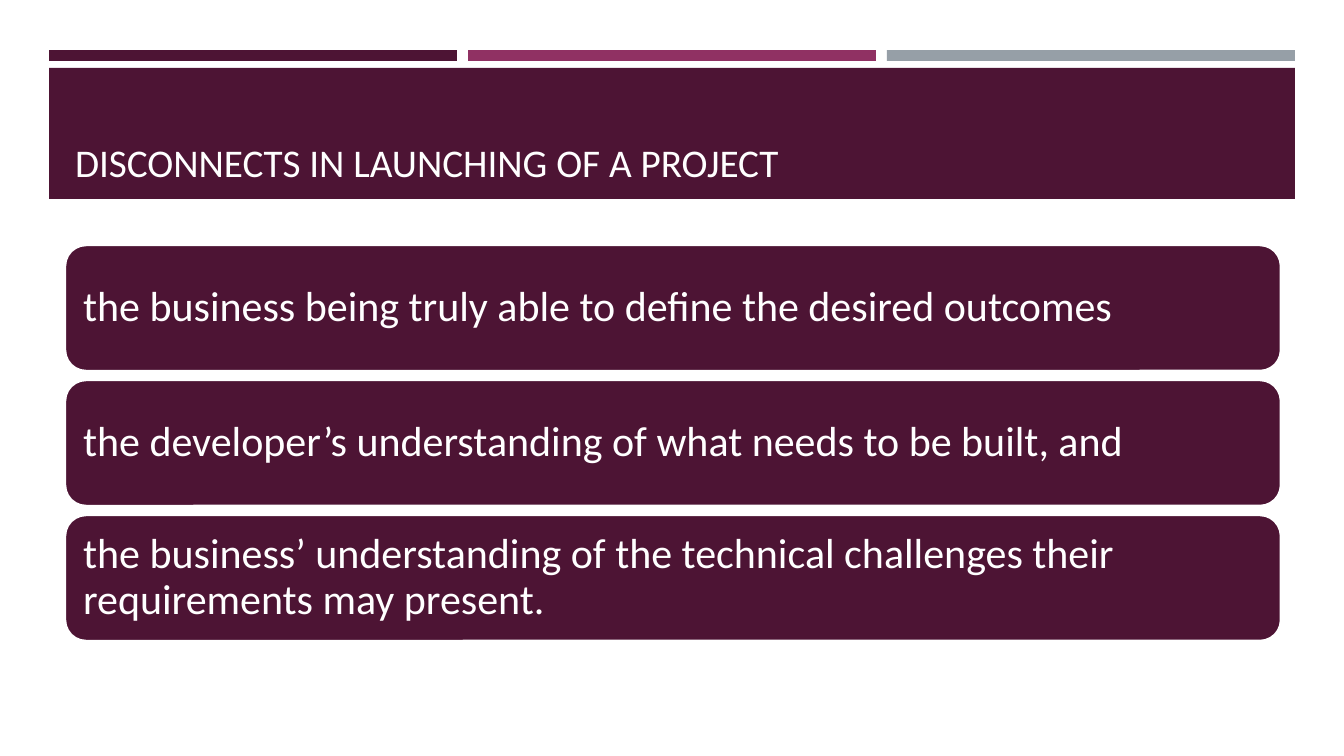
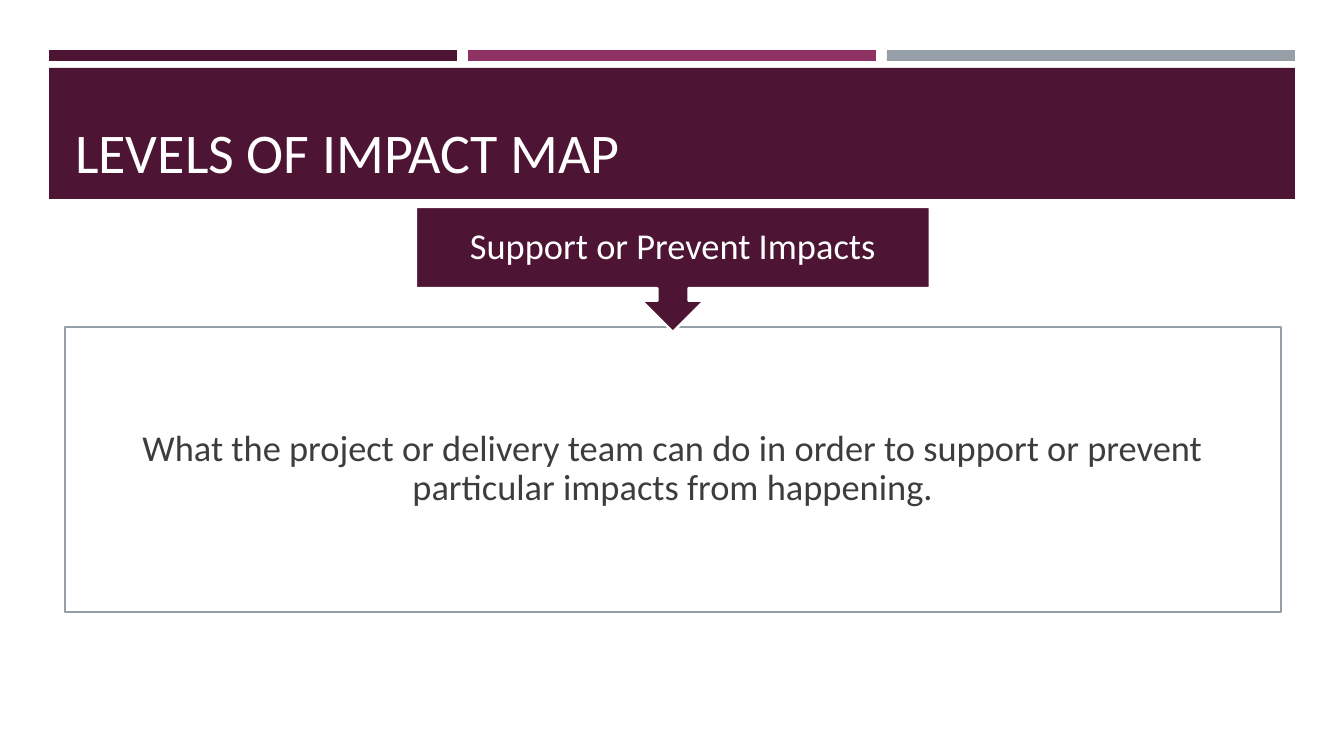
from pptx import Presentation
from pptx.dml.color import RGBColor
from pptx.enum.shapes import MSO_SHAPE as Shape
from pptx.enum.text import MSO_ANCHOR as Anchor, PP_ALIGN as Align
from pptx.util import Emu, Pt

PLUM = RGBColor(0x4D, 0x14, 0x34)
MAGENTA = RGBColor(0x90, 0x31, 0x63)
GREY = RGBColor(0x96, 0x9F, 0xA7)
INK = RGBColor(0x3D, 0x3D, 0x3D)
WHITE = RGBColor(0xFF, 0xFF, 0xFF)

FONT = "Calibri"
EMU_PER_PX = 914400 / 100.8
PAGE_SIZE = (1344, 756)
TITLE_ONLY = 5

# Boxes are left, top, width, height in px
STRIPES_BOX = (49, 50, 1246, 11)
BANNER_BOX = (49, 68, 1246, 131)
TITLE_BOX = (65, 78, 1216, 112)
CARDS_BOX = (65, 245, 1216, 396)
DIAGRAM_BOX = (65, 207, 1216, 405)


def px(length):
    return Emu(round(length * EMU_PER_PX))


def set_all(target, values):
    for name, value in values.items():
        setattr(target, name, value)


def place(shape, box):
    sides = ("left", "top", "width", "height")
    set_all(shape, dict(zip(sides, map(px, box))))


def add_box(page, kind, box, fill=None, line=None):
    shape = page.shapes.add_shape(kind, *map(px, box))
    shape.shadow.inherit = False
    if fill is None:
        shape.fill.background()
    else:
        shape.fill.solid()
        shape.fill.fore_color.rgb = fill
    if line is None:
        shape.line.fill.background()
    else:
        shape.line.color.rgb = line
        shape.line.width = Pt(1.75)
    return shape


def write(shape, text, size, color=WHITE, align=Align.LEFT,
          anchor=Anchor.MIDDLE, inset=None, spacing=0.9):
    frame = shape.text_frame
    set_all(frame, {"word_wrap": True, "vertical_anchor": anchor})
    if inset is not None:
        margins = ("margin_left", "margin_top", "margin_right", "margin_bottom")
        set_all(frame, dict.fromkeys(margins, px(inset)))
    para = frame.paragraphs[0]
    set_all(para, {"alignment": align, "line_spacing": spacing})
    span = para.add_run()
    span.text = text
    set_all(span.font, {"name": FONT, "size": Pt(size)})
    span.font.color.rgb = color


def add_header(page, layout):
    """Draw the stripes and banner, then move them to the shared layout."""
    left, top, width, height = STRIPES_BOX
    gap = 11
    stripe = (width - 2 * gap) / 3
    parts = [
        add_box(page, Shape.RECTANGLE,
                (left + index * (stripe + gap), top, stripe, height), color)
        for index, color in enumerate((PLUM, MAGENTA, GREY))
    ]
    parts.append(add_box(page, Shape.RECTANGLE, BANNER_BOX, PLUM))
    for index, part in enumerate(parts):
        layout.shapes.element.insert(2 + index, part.element)


def add_page(deck, title, size):
    page = deck.slides.add_slide(deck.slide_layouts[TITLE_ONLY])
    place(page.shapes.title, TITLE_BOX)
    write(page.shapes.title, title, size, anchor=Anchor.BOTTOM, spacing=1.0)
    return page


def add_cards(page, box, texts):
    left, top, width, height = box
    gap = 9
    card_height = (height - gap * (len(texts) - 1)) / len(texts)
    for index, text in enumerate(texts):
        card_top = top + index * (card_height + gap)
        card = add_box(page, Shape.ROUNDED_RECTANGLE,
                       (left, card_top, width, card_height), PLUM, WHITE)
        write(card, text, 30, inset=12)


def add_callout_diagram(page, box, heading, detail):
    left, top, width, height = box
    callout_width, callout_height, detail_offset = 514, 125, 120

    # Framed explanation
    panel = add_box(page, Shape.RECTANGLE,
                    (left, top + detail_offset, width, height - detail_offset),
                    line=GREY)
    write(panel, detail, 26, INK, Align.CENTER, inset=20)

    # Heading with its arrow pointing down into the frame
    callout = add_box(page, Shape.DOWN_ARROW_CALLOUT,
                      (left + (width - callout_width) / 2, top,
                       callout_width, callout_height), PLUM, WHITE)
    write(callout, heading, 26, align=Align.CENTER, inset=20)


def main():
    deck = Presentation()
    deck.slide_width, deck.slide_height = map(px, PAGE_SIZE)

    # Slide 1: three disconnects
    page = add_page(deck, "DISCONNECTS IN LAUNCHING OF A PROJECT", 28)
    add_header(page, deck.slide_layouts[TITLE_ONLY])
    add_cards(page, CARDS_BOX, (
        "the business being truly able to define the desired outcomes",
        "the developer’s understanding of what needs to be built, and",
        "the business’ understanding of the technical challenges their "
        "requirements may present.",
    ))

    # Slide 2: impact level
    page = add_page(deck, "LEVELS OF IMPACT MAP", 40)
    add_callout_diagram(
        page, DIAGRAM_BOX, "Support or Prevent Impacts",
        "What the project or delivery team can do in order to support or "
        "prevent particular impacts from happening.")

    deck.save("out.pptx")


if __name__ == "__main__":
    main()
